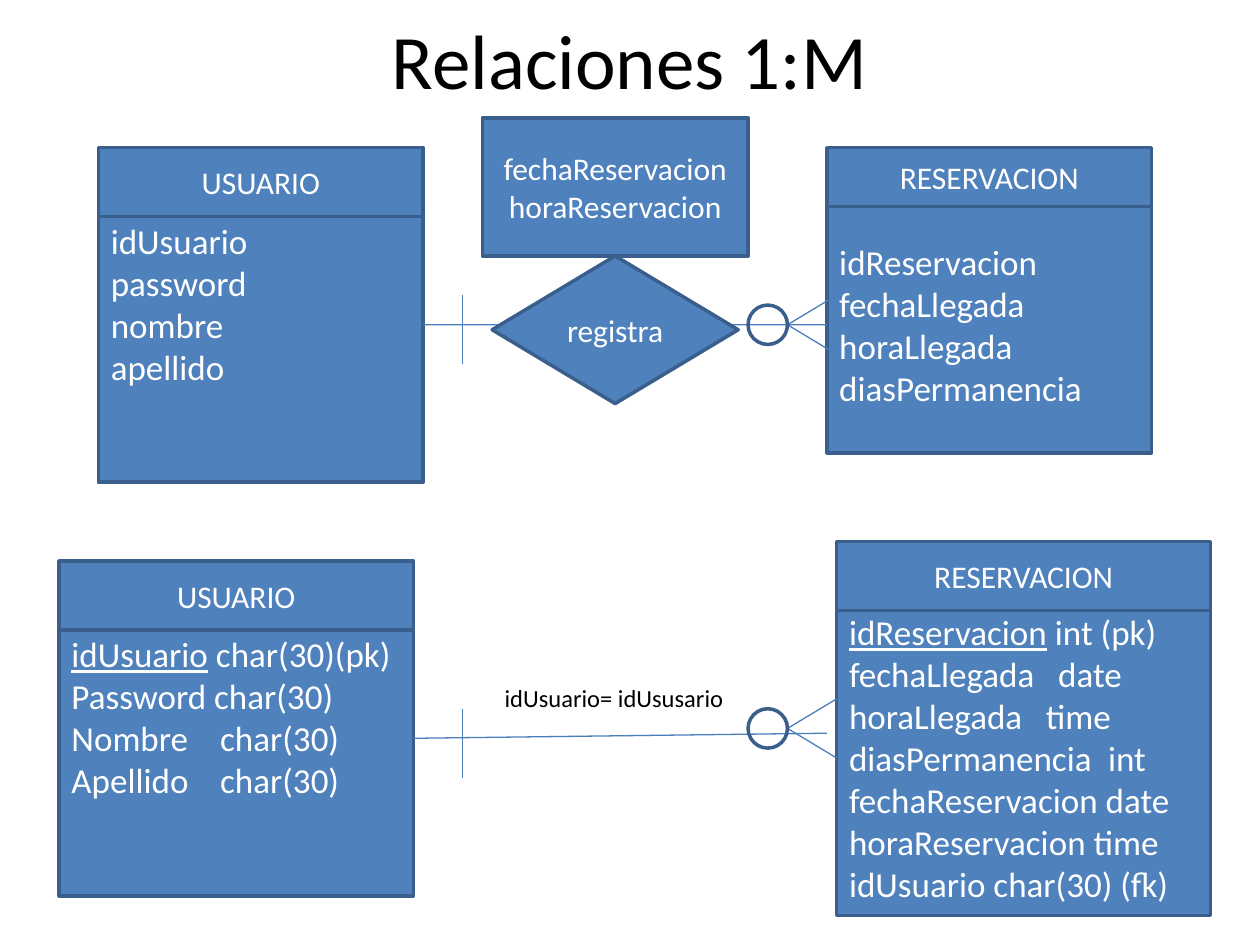
from lxml.etree import SubElement
from pptx import Presentation
from pptx.dml.color import RGBColor
from pptx.enum.shapes import MSO_CONNECTOR, MSO_SHAPE
from pptx.enum.text import MSO_ANCHOR, PP_ALIGN
from pptx.oxml.ns import qn
from pptx.util import Pt

BLUE = RGBColor(0x4F, 0x81, 0xBD)
DARK_BLUE = RGBColor(0x3A, 0x5F, 0x8C)
LINK_BLUE = RGBColor(0x4B, 0x7E, 0xBC)
WHITE = RGBColor(0xFF, 0xFF, 0xFF)
BLACK = RGBColor(0, 0, 0)
FONT = "Calibri"
LEFT, RIGHT = 1, 3  # connection sites of a rectangle
BODY_LINE = 24.4  # height of one 20 pt line


def format_paragraph(para, size, color, align):
    para.alignment = align
    para.font.name = FONT
    para.font.size = Pt(size)
    para.font.color.rgb = color


def add_figure(page, kind, left, top, width, height, lines=(), size=18,
               align=PP_ALIGN.CENTER, fill=BLUE):
    shape = page.shapes.add_shape(kind, Pt(left), Pt(top), Pt(width), Pt(height))
    shape.shadow.inherit = False
    if fill is None:
        shape.fill.background()
    else:
        shape.fill.solid()
        shape.fill.fore_color.rgb = fill
    shape.line.color.rgb = DARK_BLUE
    shape.line.width = Pt(2)
    frame = shape.text_frame
    frame.word_wrap = True
    frame.vertical_anchor = MSO_ANCHOR.MIDDLE
    for index, line in enumerate(lines):
        para = frame.paragraphs[0] if index == 0 else frame.add_paragraph()
        para.text = line
        format_paragraph(para, size, WHITE, align)
    return shape


def add_entity(page, left, top, width, header_height, body_top, body_height,
               name, fields, spare_lines=0):
    """Draw the field box with the name header over it; return the field box."""
    body = add_figure(page, MSO_SHAPE.RECTANGLE, left, body_top, width,
                      body_height, fields, 20, PP_ALIGN.LEFT)
    body.text_frame.margin_bottom = Pt(3.6 + spare_lines * BODY_LINE)
    add_figure(page, MSO_SHAPE.RECTANGLE, left, top, width, header_height, [name])
    return body


def underline_key(body, key):
    para = body.text_frame.paragraphs[0]
    rest = para.runs[0].text.removeprefix(key)
    para.runs[0].text = key
    para.runs[0].font.underline = True
    para.add_run().text = rest


def set_tab_stops(body, stops):
    """Give each numbered paragraph one left tab stop, in points."""
    for index, position in stops.items():
        properties = body.text_frame.paragraphs[index]._p.get_or_add_pPr()
        tabs = SubElement(properties, qn("a:tabLst"))
        SubElement(tabs, qn("a:tab"), pos=str(Pt(position)), algn="l")
        properties.insert(0, tabs)


def add_line(page, x1, y1, x2, y2):
    line = page.shapes.add_connector(
        MSO_CONNECTOR.STRAIGHT, Pt(x1), Pt(y1), Pt(x2), Pt(y2))
    line.line.color.rgb = LINK_BLUE
    line.line.width = Pt(0.75)
    SubElement(line._element.spPr, qn("a:effectLst"))
    return line


def add_cardinality(page, tick_top, many_y):
    """Mark the 'one' end with a tick and the 'many' end with a crow's foot."""
    add_line(page, 264.4, tick_top, 264.4, tick_top + 39.4)
    for spread in (-16.9, 16.9):
        add_line(page, 450, many_y, 478.1, many_y + spread)
    add_figure(page, MSO_SHAPE.OVAL, 427.5, many_y - 11.25, 22.5, 22.5, fill=None)


def add_title(page, text):
    title = page.shapes.title
    title.left, title.top, title.width, title.height = Pt(36), Pt(-11.5), Pt(648), Pt(90)
    title.text_frame.text = text
    title.text_frame.vertical_anchor = MSO_ANCHOR.MIDDLE
    format_paragraph(title.text_frame.paragraphs[0], 44, BLACK, PP_ALIGN.CENTER)


def add_caption(page, left, top, width, height, text):
    box = page.shapes.add_textbox(Pt(left), Pt(top), Pt(width), Pt(height))
    box.text_frame.word_wrap = True
    box.text_frame.text = text
    format_paragraph(box.text_frame.paragraphs[0], 14, BLACK, PP_ALIGN.LEFT)


def add_conceptual_model(page):
    user = add_entity(page, 56.25, 84.4, 185.6, 39.4, 95.6, 180, "USUARIO",
                      ["idUsuario", "password", "nombre", "apellido"], spare_lines=1)
    booking = add_entity(page, 472.5, 84.4, 185.6, 33.75, 112.5, 146.25, "RESERVACION",
                         ["idReservacion", "fechaLlegada", "horaLlegada", "diasPermanencia"])
    link = add_line(page, 241.9, 185.6, 472.5, 185.6)
    link.begin_connect(user, RIGHT)
    link.end_connect(booking, LEFT)
    add_cardinality(page, 168.75, 185.6)
    add_figure(page, MSO_SHAPE.DIAMOND, 281.25, 146.25, 140.6, 84.4, ["registra"])
    add_figure(page, MSO_SHAPE.RECTANGLE, 275.6, 67.5, 151.9, 78.75,
               ["fechaReservacion", "horaReservacion"])


def add_relational_model(page):
    user = add_entity(
        page, 33.75, 320.6, 202.5, 39.4, 331.9, 180, "USUARIO",
        ["idUsuario char(30)(pk)", "Password char(30)", "Nombre\tchar(30)",
         "Apellido\tchar(30)"], spare_lines=1)
    underline_key(user, "idUsuario")
    set_tab_stops(user, {2: 85, 3: 85})
    booking = add_entity(
        page, 478.1, 309.4, 213.75, 39.4, 343.1, 180, "RESERVACION",
        ["idReservacion int (pk)", "fechaLlegada\tdate", "horaLlegada\ttime",
         "diasPermanencia\tint", "fechaReservacion date", "horaReservacion time",
         "idUsuario char(30) (fk)"])
    underline_key(booking, "idReservacion")
    set_tab_stops(booking, {1: 119.5, 2: 112.5, 3: 148})
    link = add_line(page, 236.25, 421.9, 472.5, 419)
    link.begin_connect(user, RIGHT)
    add_cardinality(page, 405, 416.25)
    add_caption(page, 281.25, 386.6, 146.25, 24.2, "idUsuario= idUsusario")


def main():
    deck = Presentation()
    deck.slide_width, deck.slide_height = Pt(720), Pt(540)
    page = deck.slides.add_slide(deck.slide_layouts[5])
    add_title(page, "Relaciones 1:M")
    add_conceptual_model(page)
    add_relational_model(page)
    deck.save("out.pptx")


if __name__ == "__main__":
    main()
